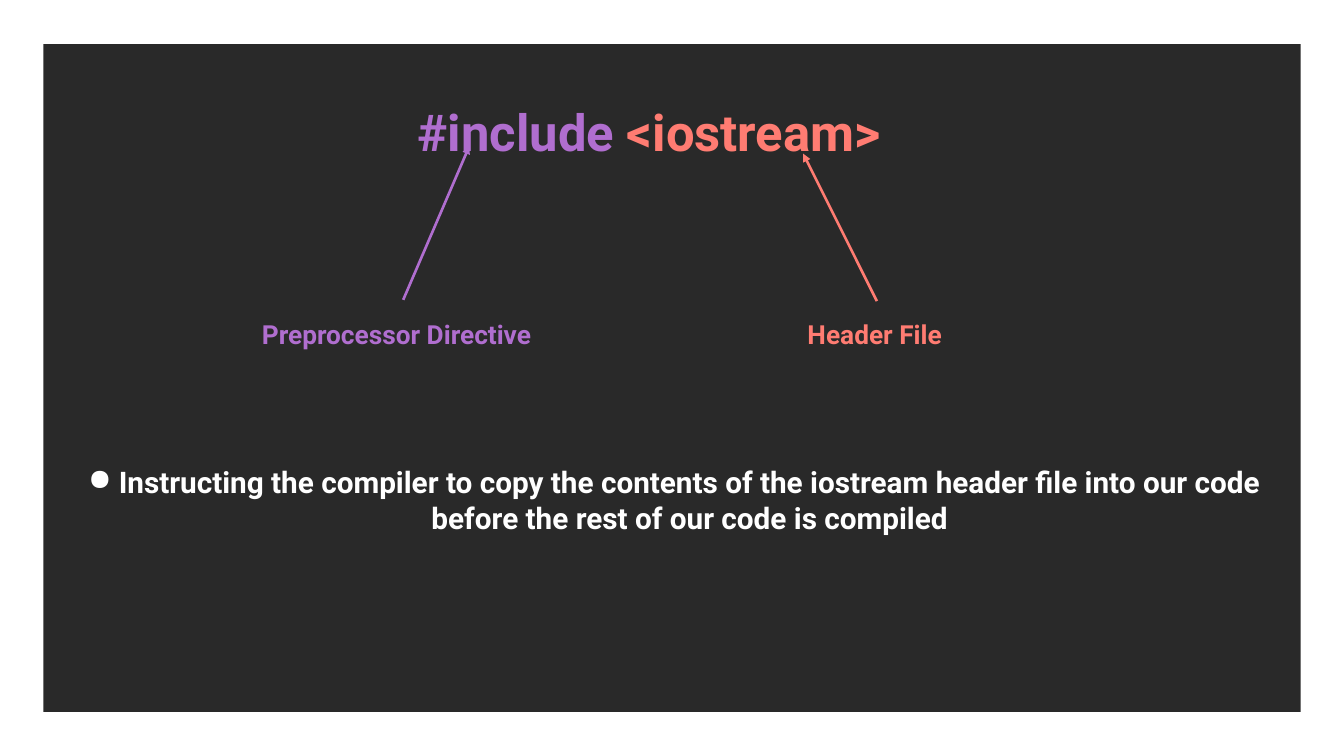
"""Build a slide explaining the parts of a C++ include line."""
from lxml import etree
from pptx import Presentation
from pptx.dml.color import RGBColor
from pptx.enum.shapes import MSO_CONNECTOR, MSO_SHAPE
from pptx.enum.text import PP_ALIGN
from pptx.oxml.ns import qn
from pptx.util import Pt

STRAIGHT = MSO_CONNECTOR.STRAIGHT
RECTANGLE = MSO_SHAPE.RECTANGLE
CENTER = PP_ALIGN.CENTER
BLACK = RGBColor(0x00, 0x00, 0x00)
WHITE = RGBColor(0xFF, 0xFF, 0xFF)
PURPLE = RGBColor(0xB0, 0x6E, 0xCF)
CORAL = RGBColor(0xFF, 0x7C, 0x72)


def add_text(s, box, inset, size, runs):
    sp = s.shapes.add_textbox(*map(Pt, box))
    tf = sp.text_frame
    tf.word_wrap = True
    tf.margin_left = tf.margin_right = Pt(inset)
    tf.margin_top = tf.margin_bottom = Pt(inset)
    p = tf.paragraphs[0]
    p.alignment = CENTER
    for text, color in runs:
        r = p.add_run()
        r.text = text
        r.font.name = "Roboto"
        r.font.size = Pt(size)
        r.font.bold = True
        r.font.color.rgb = color
    return p


prs = Presentation()
prs.slide_width, prs.slide_height = Pt(1536), Pt(864)
s = prs.slides.add_slide(prs.slide_layouts[6])
s.background.fill.solid()
s.background.fill.fore_color.rgb = WHITE

panel = s.shapes.add_shape(RECTANGLE, Pt(49.5), Pt(50.4), Pt(1437), Pt(763.2))
panel.shadow.inherit = False
panel.fill.solid()
panel.fill.fore_color.rgb = BLACK
panel.line.fill.background()
color = panel.fill._xPr.find(qn("a:solidFill"))[0]
etree.SubElement(color, qn("a:alpha"), val="84000")

p = add_text(s, (148.3, 74.2, 1187.3, 98.6), 6, 58,
             [("#include ", PURPLE), ("<iostream>", CORAL)])
p.line_spacing = 1.5

labels = [
    ("Preprocessor Directive", PURPLE, 260, (460.8, 342.7, 536.4, 167)),
    ("Header File", CORAL, 806.4, (1002.2, 344.2, 918, 175.7)),
]
for text, color, left, ends in labels:
    arrow = s.shapes.add_connector(STRAIGHT, *map(Pt, ends))
    arrow.line.color.rgb = color
    arrow.line.width = Pt(3)
    etree.SubElement(arrow.line._get_or_add_ln(), qn("a:tailEnd"), type="triangle")
    etree.SubElement(arrow._element.spPr, qn("a:effectLst"))
    add_text(s, (left, 349.2, 386.6, 94.3), 15, 30, [(text, color)])

p = add_text(s, (72.7, 514.8, 1395.4, 226), 15, 34, [(
    "Instructing the compiler to copy the contents of the iostream header file "
    "into our code before the rest of our code is compiled", WHITE)])
pPr = p._p.get_or_add_pPr()
pPr.set("marL", str(Pt(36)))
pPr.set("indent", str(Pt(-35)))
bullet_color = etree.SubElement(pPr, qn("a:buClr"))
etree.SubElement(bullet_color, qn("a:srgbClr"), val=str(WHITE))
etree.SubElement(pPr, qn("a:buChar"), char="●")

prs.save("out.pptx")
